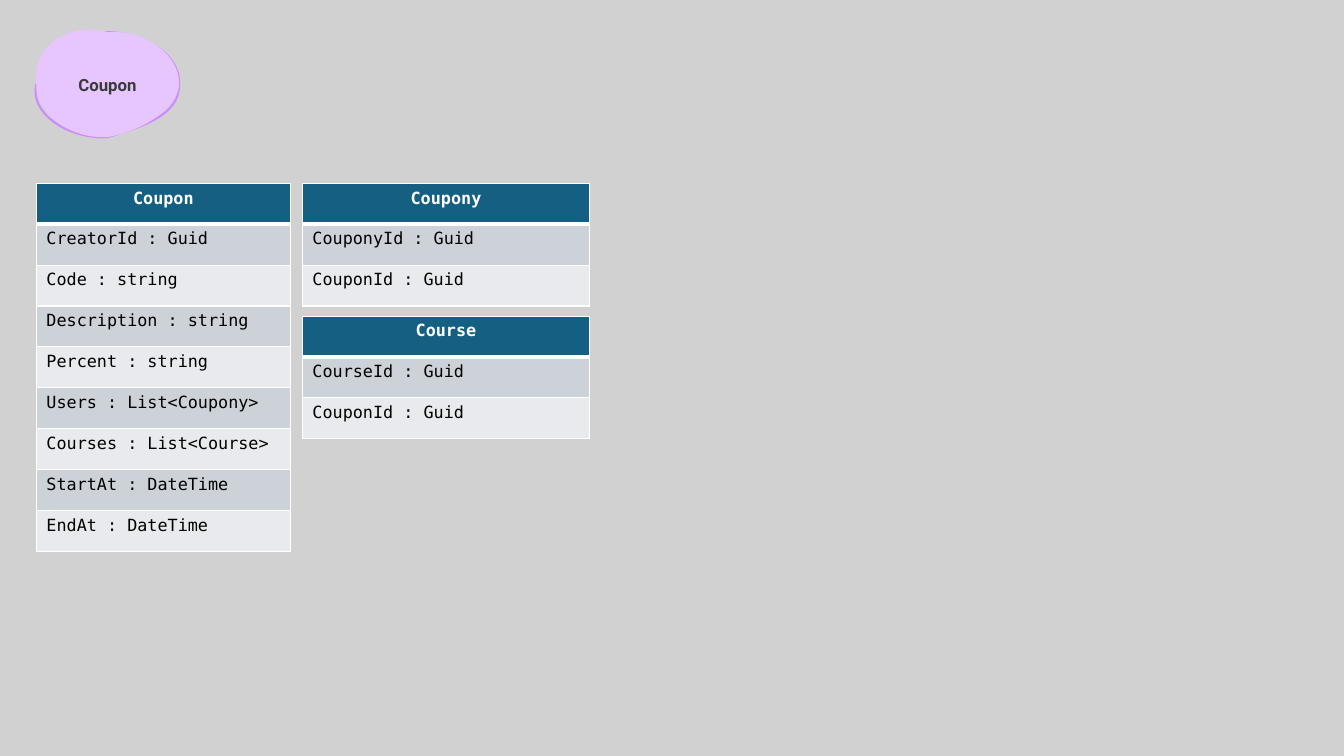
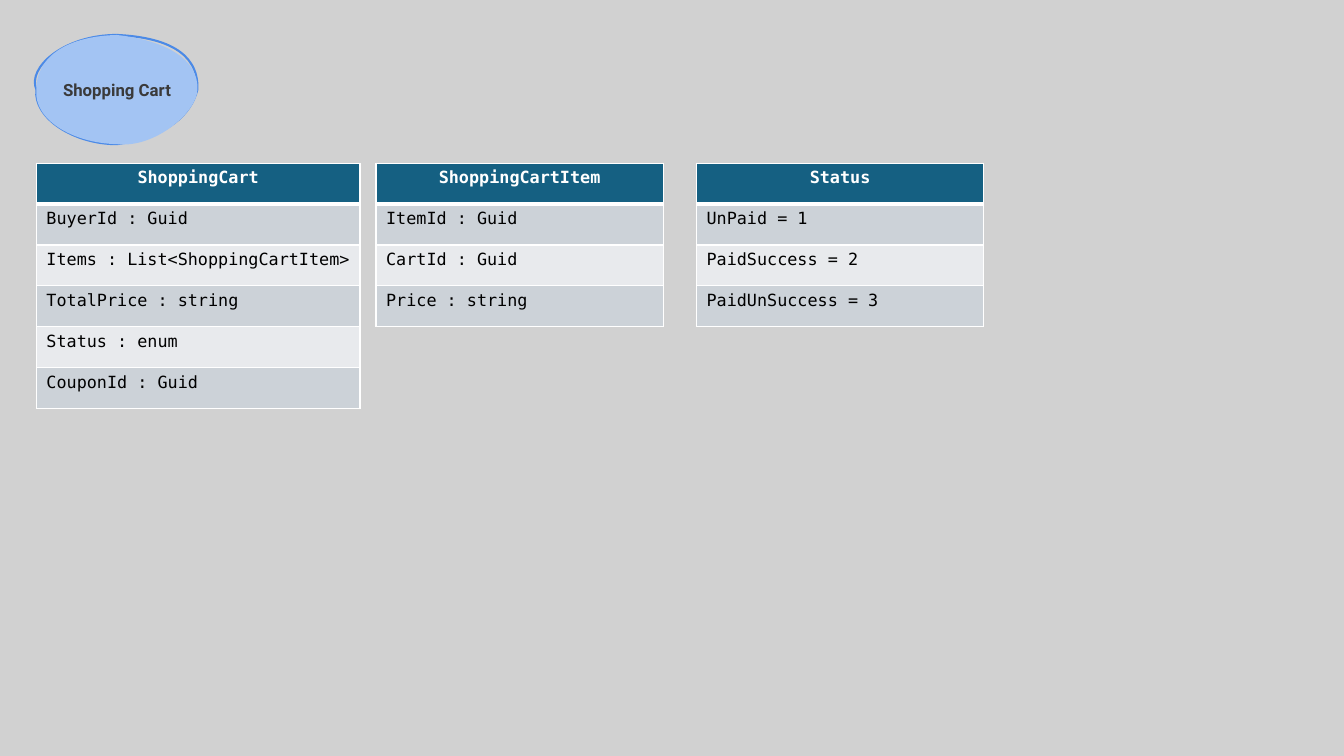
from lxml import etree
from pptx import Presentation
from pptx.dml.color import RGBColor
from pptx.enum.text import MSO_ANCHOR, MSO_AUTO_SIZE, PP_ALIGN
from pptx.oxml.ns import qn
from pptx.util import Pt

CENTER, LEFT = PP_ALIGN.CENTER, PP_ALIGN.LEFT
TOP, MIDDLE = MSO_ANCHOR.TOP, MSO_ANCHOR.MIDDLE
NO_AUTOFIT = MSO_AUTO_SIZE.NONE

COLORS = {
    "background": "D1D1D1", "title": "3A3A3A",
    "header": "156082", "header_text": "FFFFFF", "border": "FFFFFF",
    "odd_row": "CCD2D8", "even_row": "E8EAED", "field": "000000",
    "lilac": "E7C6FF", "violet": "CD8BFF",
    "sky": "A3C4F3", "blue": "4B8AE7",
}
TITLE_FONT, CODE_FONT, TEXT_SIZE = "Roboto", "DejaVu Sans Mono", 12
MARGIN = 26
ROW_HEIGHT = 29.2
STACK_GAP = 7.2
ENTITY_WIDTH = 205.2

# Each blob touches its box at the middle of the four sides. A contour lists
# the two handles of each of its four arcs, in percent of the box.
BLOB_JOINTS = [(0, 50), (50, 0), (100, 50), (50, 100)]
COUPON_BLOB = {
    "outline": [((7, 28), (17, 3)), ((78, 1), (101, 23)),
                ((100, 79), (76, 89)), ((21, 102), (-5, 76))],
    "body": [((-4, 13), (23, -10)), ((79, -3), (101, 25)),
             ((99, 73), (74, 94)), ((21, 102), (-1, 74))],
}
CART_BLOB = {
    "outline": [((-6, 30), (17, 0)), ((79, 2), (101, 15)),
                ((96, 73), (82, 93)), ((23, 100), (-2, 76))],
    "body": [((0, 18), (21, 1)), ((80, 5), (101, 22)),
             ((100, 70), (74, 104)), ((22, 99), (-2, 77))],
}


def rgb(name):
    return RGBColor.from_string(COLORS[name])


def style_text(frame, font_name, color, bold, align):
    paragraph = frame.paragraphs[0]
    paragraph.alignment = align
    font = paragraph.runs[0].font
    font.name, font.size, font.bold = font_name, Pt(TEXT_SIZE), bold
    font.color.rgb = rgb(color)


def add_contour(contours, handles, **paint):
    """Append one closed curve through the blob joints."""
    curve = etree.SubElement(contours, qn("a:path"), w="100", h="100", **paint)

    def add_step(tag, points):
        step = etree.SubElement(curve, qn(tag))
        for x, y in points:
            etree.SubElement(step, qn("a:pt"), x=str(x), y=str(y))

    add_step("a:moveTo", BLOB_JOINTS[:1])
    for pair, joint in zip(handles, BLOB_JOINTS[1:] + BLOB_JOINTS[:1]):
        add_step("a:cubicBezTo", (*pair, joint))
    etree.SubElement(curve, qn("a:close"))


def add_blob(slide, box, contour, fill, line):
    left, top, width, height = box
    corners = [(left + width * x / 100, top + height * y / 100)
               for x, y in ((0, 0), (100, 0), (100, 100), (0, 100))]
    builder = slide.shapes.build_freeform(*corners[0], scale=Pt(1))
    builder.add_line_segments(corners[1:])
    blob = builder.convert_to_shape()
    contours = blob.element.find(".//" + qn("a:pathLst"))
    contours.remove(contours[0])
    add_contour(contours, contour["outline"], fill="none")
    add_contour(contours, contour["body"], stroke="0")
    blob.shadow.inherit = False
    blob.fill.solid()
    blob.fill.fore_color.rgb = rgb(fill)
    blob.line.color.rgb = rgb(line)
    blob.line.width = Pt(1.5)
    return blob


def add_blob_title(slide, text, box, contour, fill, line):
    """Put the slide title on a hand-drawn blob filling the box."""
    title = slide.shapes.title
    title.left, title.top, title.width, title.height = map(Pt, box)
    frame = title.text_frame
    frame.text = text
    frame.auto_size = NO_AUTOFIT
    frame.vertical_anchor = MIDDLE
    style_text(frame, TITLE_FONT, "title", True, CENTER)
    blob = add_blob(slide, box, contour, fill, line)
    title.element.addprevious(blob.element)


def set_borders(cell, top, bottom):
    properties = cell._tc.get_or_add_tcPr()
    for side, width in (("L", 1), ("R", 1), ("T", top), ("B", bottom)):
        edge = etree.SubElement(properties, qn("a:ln" + side), w=str(Pt(width)))
        paint = etree.SubElement(edge, qn("a:solidFill"))
        etree.SubElement(paint, qn("a:srgbClr"), val=COLORS["border"])


def add_entity(slide, left, top, width, name, fields):
    """Draw an entity as a one-column table and return its bottom edge."""
    lines = [name, *fields]
    height = ROW_HEIGHT * len(lines)
    table = slide.shapes.add_table(
        len(lines), 1, Pt(left), Pt(top), Pt(width), Pt(height)).table
    for index, text in enumerate(lines):
        table.rows[index].height = Pt(ROW_HEIGHT)
        cell = table.cell(index, 0)
        cell.text_frame.text = text
        cell.vertical_anchor = TOP
        set_borders(cell, top=3 if index == 1 else 1,
                    bottom=3 if index == 0 else 1)
        cell.fill.solid()
        if index == 0:
            cell.fill.fore_color.rgb = rgb("header")
            style_text(cell.text_frame, CODE_FONT, "header_text", True, CENTER)
        else:
            band = "odd_row" if index % 2 else "even_row"
            cell.fill.fore_color.rgb = rgb(band)
            style_text(cell.text_frame, CODE_FONT, "field", False, LEFT)
    return top + height


def build_coupon_slide(slide):
    add_blob_title(slide, "Coupon", (MARGIN, 23, 101.5, 75),
                   COUPON_BLOB, "lilac", "violet")
    top, links_left = 131, 216
    add_entity(slide, MARGIN, top, 181.5, "Coupon", [
        "CreatorId : Guid", "Code : string", "Description : string",
        "Percent : string", "Users : List<Coupony>",
        "Courses : List<Course>", "StartAt : DateTime", "EndAt : DateTime"])
    bottom = add_entity(slide, links_left, top, ENTITY_WIDTH, "Coupony",
                        ["CouponyId : Guid", "CouponId : Guid"])
    add_entity(slide, links_left, bottom + STACK_GAP, ENTITY_WIDTH, "Course",
               ["CourseId : Guid", "CouponId : Guid"])


def build_cart_slide(slide):
    add_blob_title(slide, "Shopping Cart", (MARGIN, 25.2, 115.2, 77.8),
                   CART_BLOB, "sky", "blue")
    top = 116.6
    add_entity(slide, MARGIN, top, 231.2, "ShoppingCart", [
        "BuyerId : Guid", "Items : List<ShoppingCartItem>",
        "TotalPrice : string", "Status : enum", "CouponId : Guid"])
    add_entity(slide, 268.6, top, ENTITY_WIDTH, "ShoppingCartItem",
               ["ItemId : Guid", "CartId : Guid", "Price : string"])
    add_entity(slide, 497.5, top, ENTITY_WIDTH, "Status",
               ["UnPaid = 1", "PaidSuccess = 2", "PaidUnSuccess = 3"])


def main():
    deck = Presentation()
    deck.slide_width, deck.slide_height = Pt(960), Pt(540)
    backdrop = deck.slide_master.background.fill
    backdrop.solid()
    backdrop.fore_color.rgb = rgb("background")
    title_only = deck.slide_layouts.get_by_name("Title Only")
    for build in (build_coupon_slide, build_cart_slide):
        build(deck.slides.add_slide(title_only))
    deck.save("out.pptx")


if __name__ == "__main__":
    main()
